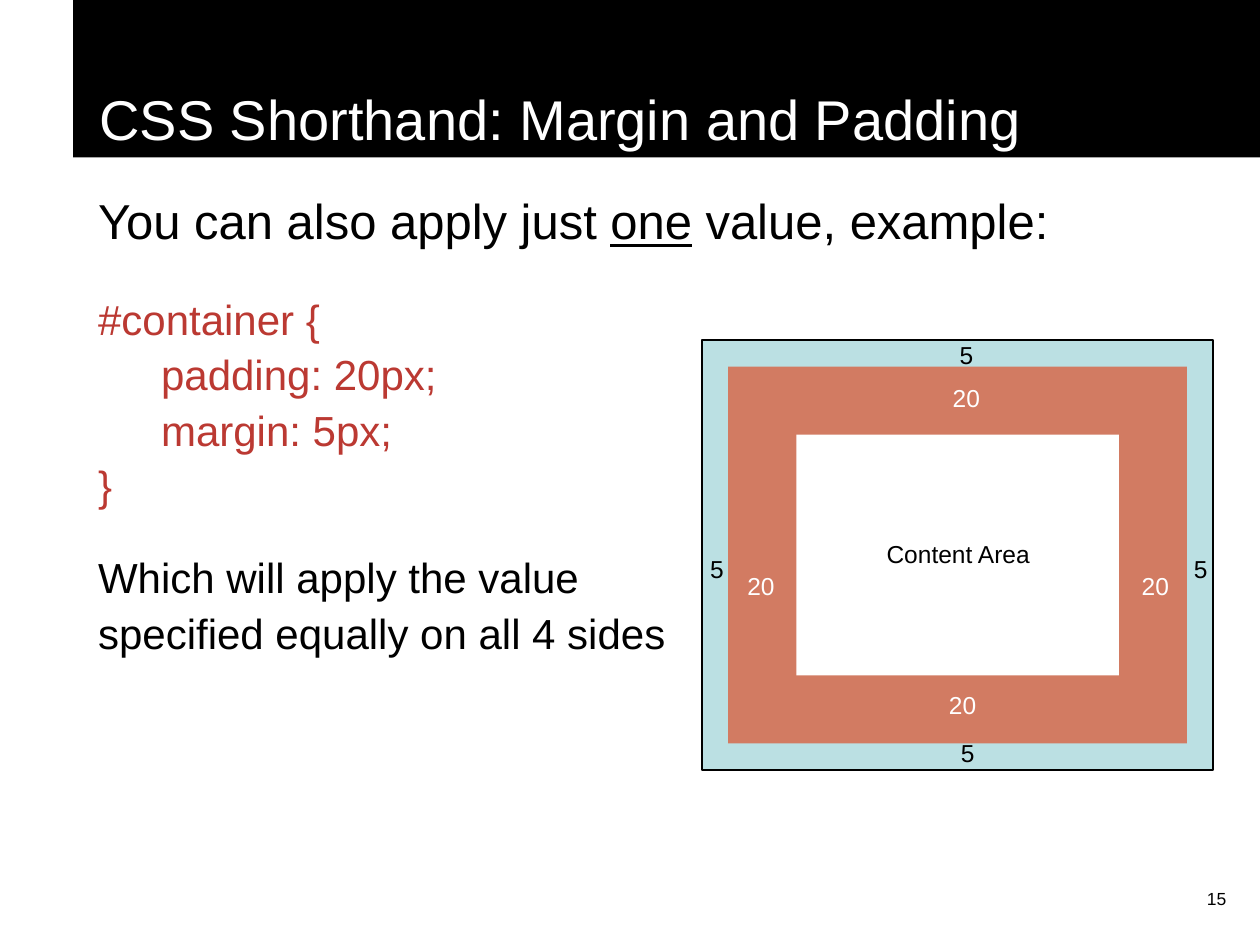
from lxml import etree
from pptx import Presentation
from pptx import util as u
from pptx.dml.color import RGBColor
from pptx.enum import shapes, text
from pptx.oxml.ns import qn

COLUMNS, ROWS = 100, 75
COLORS = {"black": "000000", "white": "FFFFFF", "code": "BB3932",
          "margin": "BBE0E3", "padding": "D27B62"}
ALIGN = text.PP_ALIGN
ANCHOR = text.MSO_ANCHOR


def rgb(name):
    return RGBColor.from_string(COLORS[name])


def write(paragraph, content, size, color="black", align=ALIGN.LEFT, indent=0,
          before=0, after=0, spacing=1.0, underlined=None):
    """Fill a paragraph; newlines become line breaks, one word may be underlined."""
    paragraph.alignment = align
    paragraph.line_spacing = spacing
    paragraph.space_before, paragraph.space_after = u.Pt(before), u.Pt(after)
    if indent:
        properties = paragraph._p.get_or_add_pPr()
        properties.set("marL", str(u.Inches(indent)))
        properties.set("indent", "0")
        tabs = etree.SubElement(properties, qn("a:tabLst"))
        etree.SubElement(tabs, qn("a:tab"), pos=str(u.Inches(indent)), algn="l")
    for number, line in enumerate(content.split("\n")):
        if number:
            paragraph.add_line_break()
        pieces = line.partition(underlined) if underlined else (line,)
        for piece in filter(None, pieces):
            run = paragraph.add_run()
            run.text = piece
            run.font.name, run.font.size = "Arial", u.Pt(size)
            run.font.color.rgb = rgb(color)
            if piece == underlined:
                run.font.underline = True


class Deck:
    """Holds the presentation and current slide; places elements on the grid."""

    def __init__(self):
        self.presentation = Presentation()
        self.presentation.slide_width = u.Inches(10)
        self.presentation.slide_height = u.Inches(7.5)
        self.slide = self.presentation.slides.add_slide(
            self.presentation.slide_layouts[6])

    def place(self, column, row, columns, rows):
        across = self.presentation.slide_width / COLUMNS
        down = self.presentation.slide_height / ROWS
        return [round(value) for value in
                (column * across, row * down, columns * across, rows * down)]

    def box(self, area, fill, line=None):
        shape = self.slide.shapes.add_shape(
            shapes.MSO_SHAPE.RECTANGLE, *self.place(*area))
        shape.shadow.inherit = False
        shape.fill.solid()
        shape.fill.fore_color.rgb = rgb(fill)
        if line:
            shape.line.color.rgb = rgb(line)
            shape.line.width = u.Pt(1)
        else:
            shape.line.fill.background()
        return shape

    def text(self, area, *paragraphs, grow=False):
        """Add a text box; each paragraph is a dict of arguments for write()."""
        frame = self.slide.shapes.add_textbox(*self.place(*area)).text_frame
        frame.word_wrap = True
        if grow:
            frame.auto_size = text.MSO_AUTO_SIZE.SHAPE_TO_FIT_TEXT
        for number, options in enumerate(paragraphs):
            paragraph = frame.add_paragraph() if number else frame.paragraphs[0]
            write(paragraph, **options)

    def title(self, area, content):
        shape = self.box(area, "black")
        shape.text_frame.vertical_anchor = ANCHOR.BOTTOM
        write(shape.text_frame.paragraphs[0], content, 32, "white", indent=0.11)

    def label(self, content, column, row, color="black", columns=9.4):
        self.text((column, row, columns, 3.4),
                  dict(content=content, size=14, color=color,
                       align=ALIGN.CENTER, before=8.8), grow=True)


def inset(area, border):
    column, row, columns, rows = area
    return (column + border, row + border,
            columns - 2 * border, rows - 2 * border)


def draw_box_model(deck):
    margin = (55.7, 27, 40.6, 34.1)
    padding = inset(margin, 2.1)
    content = inset(padding, 5.4)
    deck.box(margin, "margin", line="black")
    deck.box(padding, "padding")
    deck.box(content, "white")
    deck.label("Content Area", 64.3, 42.3, columns=23.5)
    sides = {
        ("5", "black"): [(72, 26.5), (90.6, 43.5), (72.1, 58.1), (52.2, 43.5)],
        ("20", "white"): [(72, 29.9), (87, 44.8), (71.7, 54.3), (55.7, 44.8)],
    }
    for (value, color), positions in sides.items():
        for column, row in positions:
            deck.label(value, column, row, color)


def main():
    deck = Deck()
    deck.text((77.5, 70, 20.8, 5), dict(content="15", size=10, align=ALIGN.RIGHT))
    deck.title((5.8, 0, 94.2, 12.5), "CSS Shorthand: Margin and Padding")
    body = dict(size=24, indent=0.1, spacing=1.1, before=15, after=6)
    deck.text(
        (5.8, 14.2, 90.8, 39),
        body | dict(content="You can also apply just one value, example:",
                    size=28, before=17.5, after=7, underlined="one"),
        body | dict(content="#container {\n\tpadding: 20px;\n\tmargin: 5px;\n}",
                    color="code"),
        body | dict(content="Which will apply the value \n"
                            "specified equally on all 4 sides"))
    draw_box_model(deck)
    deck.presentation.save("out.pptx")


if __name__ == "__main__":
    main()
